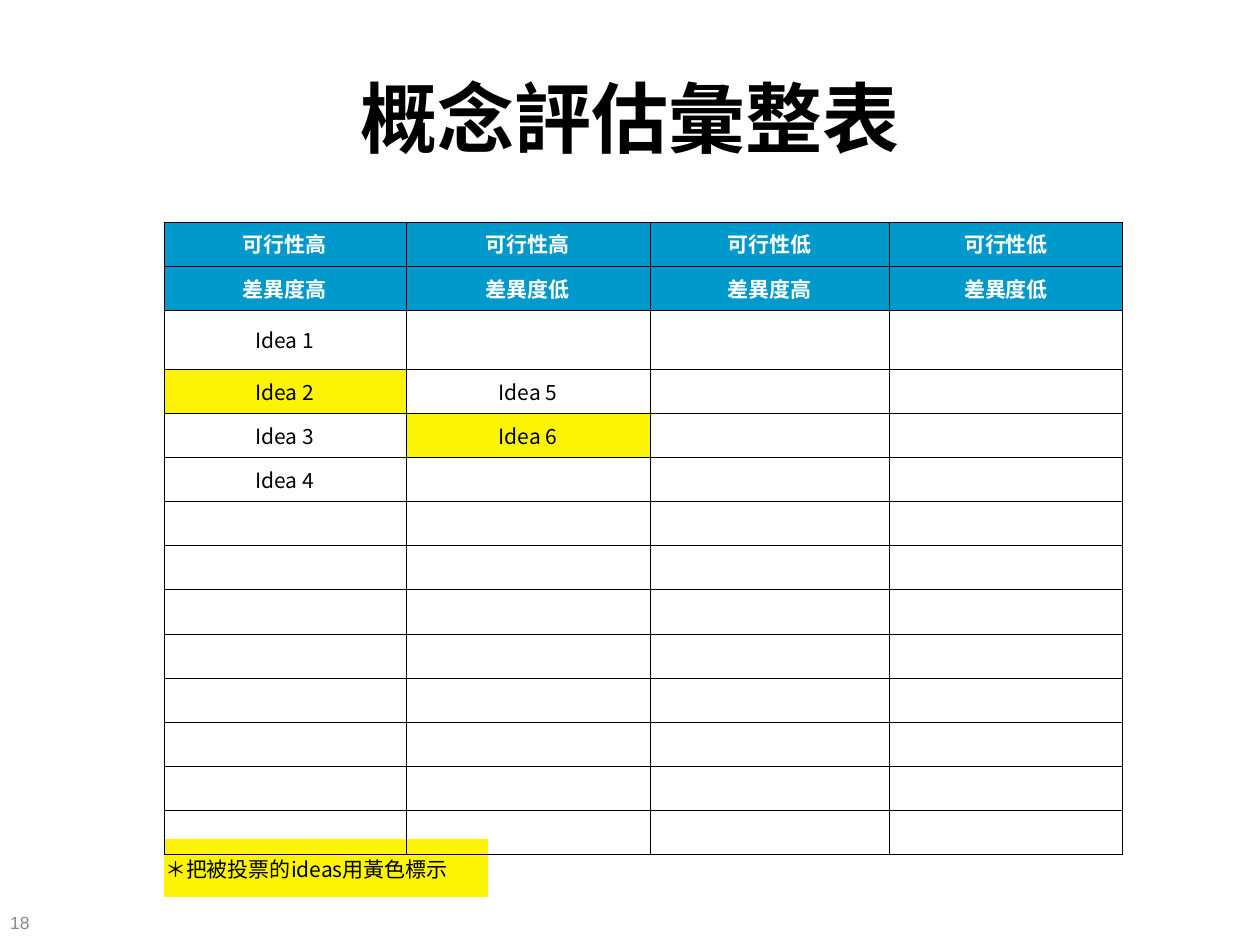
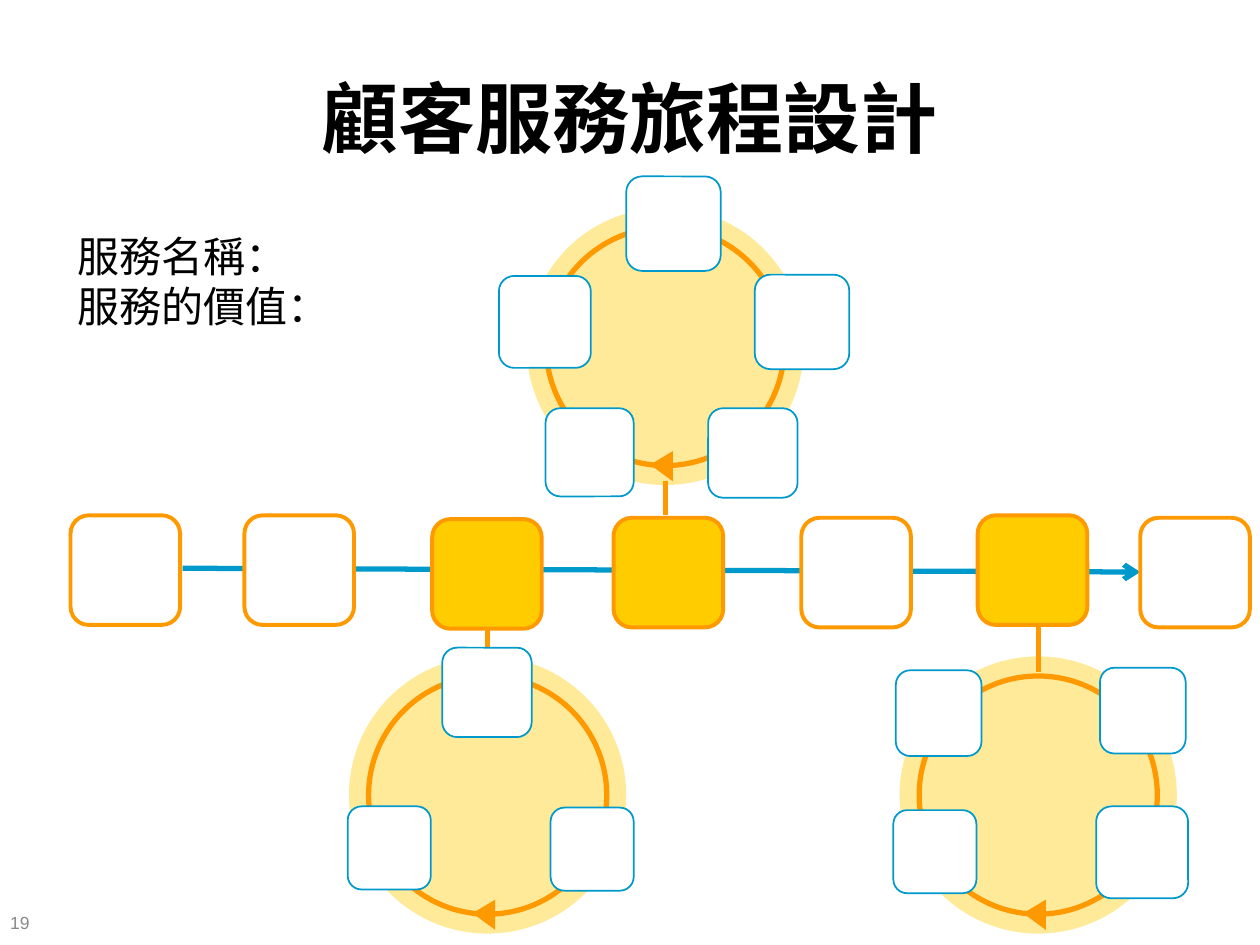
from dataclasses import dataclass

from lxml import etree
from pptx import Presentation
from pptx import util as u
from pptx.dml.color import RGBColor
from pptx.enum import shapes, text
from pptx.oxml.ns import qn

BLACK = RGBColor(0x00, 0x00, 0x00)
WHITE = RGBColor(0xFF, 0xFF, 0xFF)
GREY = RGBColor(0x89, 0x89, 0x89)
BLUE = RGBColor(0x00, 0x99, 0xCC)
ORANGE = RGBColor(0xFF, 0x99, 0x00)
AMBER = RGBColor(0xFF, 0xCC, 0x00)
VOTED = RGBColor(0xFC, 0xF3, 0x05)

LATIN = "Arial"
CJK = "Noto Sans CJK SC"
CELL = u.Inches(0.1)  # the page is a grid of 100 columns by 75 rows


@dataclass
class Box:
    """A region measured in grid columns and rows."""
    left: float
    top: float
    width: float
    height: float

    def inner(self, left, top, width, height):
        """A box placed relative to this one."""
        return Box(self.left + left, self.top + top, width, height)

    def point(self, x, y):
        return span(self.left + x), span(self.top + y)

    def emu(self):
        return [span(v) for v in (self.left, self.top, self.width, self.height)]


PAGE = Box(0, 0, 100, 75)


def span(cells):
    return u.Emu(round(cells * CELL))


def add_run(paragraph, words, size, color, font=LATIN, bold=False):
    run = paragraph.add_run()
    run.text = words
    run.font.size = u.Pt(size)
    run.font.name = font
    run.font.bold = bold
    run.font.color.rgb = color
    etree.SubElement(run._r.get_or_add_rPr(), qn("a:ea"), typeface=CJK)


def add_lines(slide, box, lines, size, color, bold=False, wrap=True,
              align=text.PP_ALIGN.LEFT, anchor=text.MSO_ANCHOR.MIDDLE):
    frame = slide.shapes.add_textbox(*box.emu()).text_frame
    frame.word_wrap = wrap
    frame.vertical_anchor = anchor
    for number, line in enumerate(lines):
        paragraph = frame.add_paragraph() if number else frame.paragraphs[0]
        paragraph.alignment = align
        add_run(paragraph, line, size, color, bold=bold)
    return frame


def add_page(deck, title, number):
    """A blank slide with the shared title and page number."""
    slide = deck.slides.add_slide(deck.slide_layouts[6])
    add_lines(slide, PAGE.inner(5, 3, 90, 12.5), [title], 44, BLACK, bold=True,
              align=text.PP_ALIGN.CENTER)
    folio = add_lines(slide, PAGE.inner(0, 72, 4.1, 2.4), [str(number)], 10, GREY)
    folio.margin_left = u.Inches(0.08)
    return slide


# Tables

def set_borders(cell, color):
    """Thin borders on all sides, or none when no colour is given."""
    for side in ("a:lnL", "a:lnR", "a:lnT", "a:lnB"):
        border = etree.SubElement(cell._tc.get_or_add_tcPr(), qn(side), w="2920")
        if color is None:
            etree.SubElement(border, qn("a:noFill"))
        else:
            solid = etree.SubElement(border, qn("a:solidFill"))
            etree.SubElement(solid, qn("a:srgbClr"), val=str(color))


def fill_cell(cell, words, color, fill, border, bold, align):
    cell.margin_left = cell.margin_right = u.Inches(0.01)
    cell.vertical_anchor = text.MSO_ANCHOR.MIDDLE
    set_borders(cell, border)
    if fill is None:
        cell.fill.background()
    else:
        cell.fill.solid()
        cell.fill.fore_color.rgb = fill
    paragraph = cell.text_frame.paragraphs[0]
    paragraph.alignment = align
    if words:
        add_run(paragraph, words, 12, color, CJK, bold)
    else:
        paragraph._p.get_or_add_endParaRPr().set("sz", "1200")


def add_grid(slide, box, widths, heights):
    grid = slide.shapes.add_table(len(heights), len(widths), *box.emu()).table
    grid.first_row = grid.horz_banding = False
    for column, width in zip(grid.columns, widths):
        column.width = span(width)
    for row, height in zip(grid.rows, heights):
        row.height = span(height)
    return grid


def add_vote_note(slide, box):
    note = add_grid(slide, box, [box.width], [box.height])
    fill_cell(note.cell(0, 0), "＊把被投票的ideas用黃色標示", BLACK, VOTED, None,
              False, text.PP_ALIGN.LEFT)


def add_idea_table(slide, box):
    headings = [["可行性高", "可行性高", "可行性低", "可行性低"],
                ["差異度高", "差異度低", "差異度高", "差異度低"]]
    ideas = {(2, 0): "Idea 1", (3, 0): "Idea 2", (4, 0): "Idea 3",
             (5, 0): "Idea 4", (3, 1): "Idea 5", (4, 1): "Idea 6"}
    voted = {"Idea 2", "Idea 6"}
    heights = [3.5] * 2 + [4.7] + [3.5] * 11
    widths = [19.2, 19.4, 19, 18.5]
    grid = add_grid(slide, box, widths, heights)
    for row in range(len(heights)):
        for column in range(len(widths)):
            is_heading = row < len(headings)
            if is_heading:
                words, color, fill = headings[row][column], WHITE, BLUE
            else:
                words, color = ideas.get((row, column), ""), BLACK
                fill = VOTED if words in voted else None
            fill_cell(grid.cell(row, column), words, color, fill, BLACK,
                      is_heading, text.PP_ALIGN.CENTER)


def build_evaluation(deck):
    slide = add_page(deck, "概念評估彙整表", 18)
    add_vote_note(slide, PAGE.inner(13, 66.6, 25.7, 4.6))
    add_idea_table(slide, PAGE.inner(13, 17.6, 76.1, 50.2))


# Journey

def add_figure(slide, kind, box, fill=None, line=None, weight=1):
    figure = slide.shapes.add_shape(kind, *box.emu())
    figure.shadow.inherit = False
    if fill is None:
        figure.fill.background()
    else:
        figure.fill.solid()
        figure.fill.fore_color.rgb = fill
    if line is None:
        figure.line.fill.background()
    else:
        figure.line.color.rgb = line
        figure.line.width = u.Pt(weight)
    return figure


def add_line(slide, start, end, color):
    line = slide.shapes.add_connector(shapes.MSO_CONNECTOR.STRAIGHT, *start, *end)
    line.line.color.rgb = color
    line.line.width = u.Pt(3)
    etree.SubElement(line._element.spPr, qn("a:effectLst"))
    return line


def add_loop(slide, box, stem, stops):
    """A cycle in a disc; stem is its link's two heights, stops are (x, y, size)."""
    oval = shapes.MSO_SHAPE.OVAL
    disc = add_figure(slide, oval, box, AMBER)
    tint = disc._element.spPr.find(qn("a:solidFill"))[0]
    etree.SubElement(tint, qn("a:alpha"), val="40000")

    ring = 18.9
    inset = (box.width - ring) / 2
    add_figure(slide, oval, box.inner(inset, inset, ring, ring), None, ORANGE, 3)

    middle = box.width / 2
    add_line(slide, *(box.point(middle, y) for y in stem), ORANGE)

    turn = add_figure(slide, shapes.MSO_SHAPE.ISOSCELES_TRIANGLE,
                      box.inner(middle - 1.5, 19.6, 2.4, 1.8), ORANGE)
    turn.adjustments[0] = 0.55
    turn.rotation = 270
    for x, y, size in stops:
        add_figure(slide, shapes.MSO_SHAPE.ROUNDED_RECTANGLE,
                   box.inner(x, y, size, size), WHITE, BLUE)


def add_stations(slide, box):
    side = 8.7
    stations = [(0, 0, WHITE), (13.8, 0, WHITE), (28.7, 0.3, AMBER),
                (43.1, 0.2, AMBER), (58, 0.2, WHITE), (72, 0, AMBER),
                (84.9, 0.2, WHITE)]
    for x, y, fill in stations:
        add_figure(slide, shapes.MSO_SHAPE.ROUNDED_RECTANGLE,
                   box.inner(x, y, side, side), fill, ORANGE, 2.25)


def add_spine(slide, box):
    spine = add_line(slide, box.point(8.9, 4.2), box.point(84.9, 4.5), BLUE)
    outline = spine._element.spPr.find(qn("a:ln"))
    etree.SubElement(outline, qn("a:tailEnd"), type="arrow")


def build_journey(deck):
    slide = add_page(deck, "顧客服務旅程設計", 19)
    track = PAGE.inner(5.6, 40.9, 93.6, 9)
    below, above = (-2.5, 1.2), (21.7, 24.4)
    add_spine(slide, track)
    add_loop(slide, PAGE.inner(27.7, 52.1, 22, 22), below,
             [(16, 12, 6.6), (-0.1, 11.9, 6.6), (7.4, -0.7, 7.1)])
    add_loop(slide, PAGE.inner(71.4, 52.1, 22, 22), below,
             [(15.6, 11.9, 7.3), (-0.5, 12.2, 6.6), (15.9, 0.9, 6.8),
              (-0.3, 1.1, 6.8)])
    add_loop(slide, PAGE.inner(41.8, 16.5, 22, 22), above,
             [(1.5, 15.9, 7), (14.4, 15.9, 7.1), (-2.2, 5.4, 7.3),
              (7.9, -2.5, 7.5), (18.1, 5.3, 7.5)])
    add_stations(slide, track)
    add_lines(slide, PAGE.inner(5.2, 17.8, 22, 9), ["服務名稱：", "服務的價值："],
              24, BLACK, wrap=False, anchor=text.MSO_ANCHOR.TOP)


def main():
    deck = Presentation()
    deck.slide_width, deck.slide_height = span(PAGE.width), span(PAGE.height)
    build_evaluation(deck)
    build_journey(deck)
    deck.save("out.pptx")


if __name__ == "__main__":
    main()
